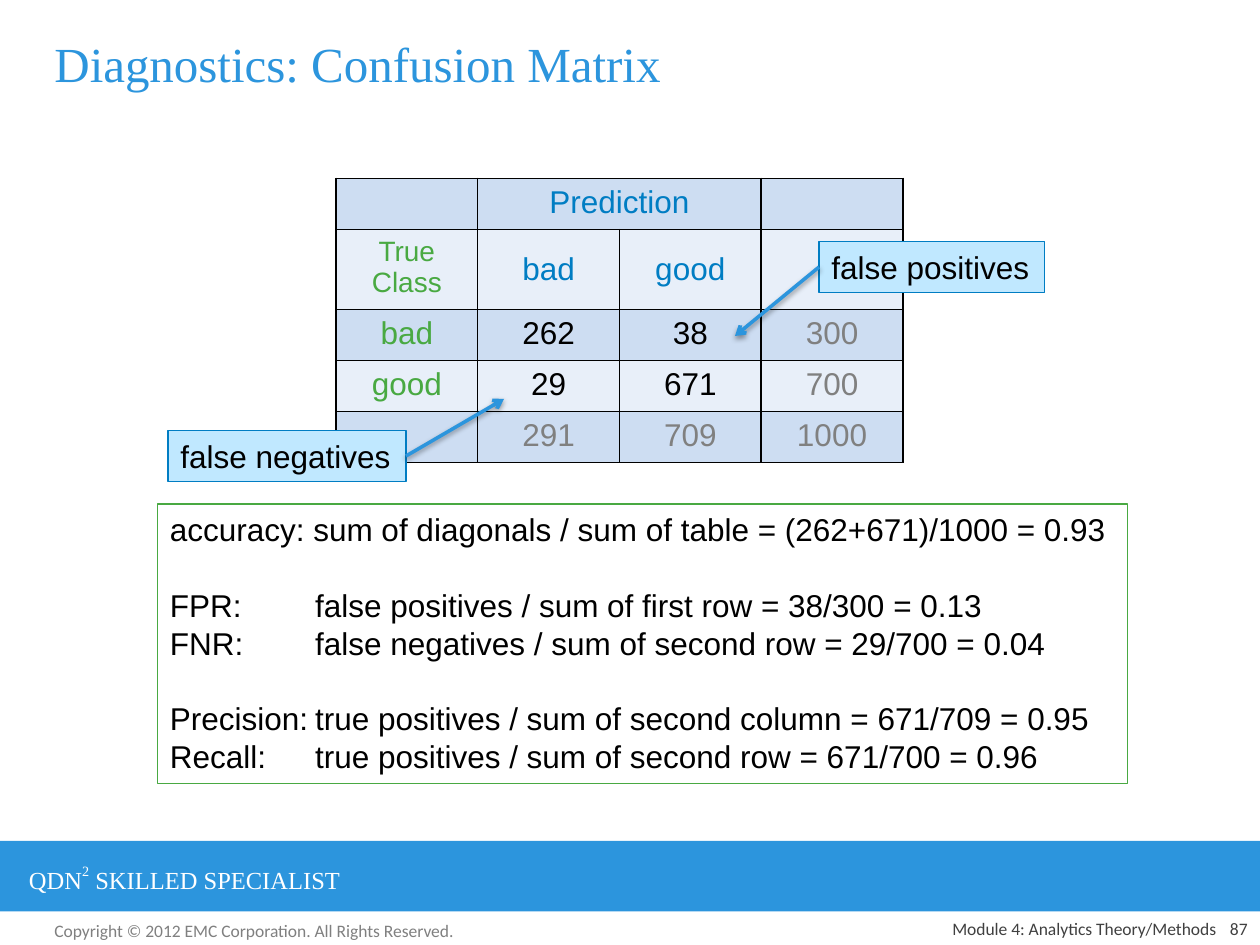
import pptx
import pptx.util
import pptx.dml.color
import pptx.enum.text
import pptx.enum.shapes
import pptx.oxml
import pptx.oxml.ns
from dataclasses import dataclass

Pt = pptx.util.Pt
ALIGN = pptx.enum.text.PP_ALIGN
ANCHOR = pptx.enum.text.MSO_ANCHOR


@dataclass(frozen=True)
class Theme:
    blue: str = "2C95DD"
    deep_blue: str = "007DC3"
    pale_blue: str = "C0E8FF"
    green: str = "49A942"
    black: str = "000000"
    white: str = "FFFFFF"
    gray: str = "808080"
    dark_gray: str = "404040"
    bands: tuple = ("CDDDF2", "E8EFF9")
    serif: str = "Times New Roman"
    sans: str = "Arial"
    small_font: str = "Calibri"
    title: int = 28
    body: int = 18
    row_head: int = 16
    brand: int = 14
    footer: int = 10


THEME = Theme()

TITLE = "Diagnostics: Confusion Matrix"
MATRIX = [
    ["", "Prediction", "", ""],
    ["True Class", "bad", "good", ""],
    ["bad", "262", "38", "300"],
    ["good", "29", "671", "700"],
    ["", "291", "709", "1000"],
]
MEASURES = [
    ("accuracy: sum of diagonals / sum of table = (262+671)/1000 = 0.93", False),
    ("FPR:\tfalse positives / sum of first row = 38/300 = 0.13", True),
    ("FNR:\tfalse negatives / sum of second row = 29/700 = 0.04", False),
    ("Precision:\ttrue positives / sum of second column = 671/709 = 0.95", True),
    ("Recall:\ttrue positives / sum of second row = 671/700 = 0.96", False),
]
CALLOUTS = [
    ("false positives", (468, 138, 129, 29), (468, 152.6), (420, 192)),
    ("false negatives", (96, 246, 136, 29), (232, 260.6), (288, 228)),
]
BRAND = [("QDN", None), ("2", "56000"), (" SKILLED SPECIALIST", None)]
FOOTERS = [
    ("Copyright © 2012 EMC Corporation. All Rights Reserved.",
     (24, 522, 246, 19.4), THEME.gray, ALIGN.LEFT, ANCHOR.TOP),
    ("87", (684, 522, 36, 18), THEME.dark_gray, ALIGN.RIGHT, ANCHOR.BOTTOM),
    ("Module 4: Analytics Theory/Methods",
     (372, 522, 330, 18), THEME.dark_gray, ALIGN.RIGHT, ANCHOR.BOTTOM),
]
MATRIX_LEFT, MATRIX_TOP, COLUMN_WIDTH = 192, 102, 81
ROW_HEIGHTS = [29.2, 45.6, 29.2, 29.2, 29.2]
LINE_PITCH = 21.6
TAB_POSITION = 83


def rgb(value):
    return pptx.dml.color.RGBColor.from_string(value)


def style(para, font, size, color, align=ALIGN.LEFT):
    para.alignment = align
    for span in para.runs:
        span.font.name = font
        span.font.size = Pt(size)
        span.font.color.rgb = rgb(color)


def append_xml(parent, body):
    start, rest = body.split(" ", 1) if " " in body.split(">")[0] else body.split(">", 1)
    glue = " " if " " in body.split(">")[0] else ">"
    parent.append(pptx.oxml.parse_xml(f"{start} {pptx.oxml.ns.nsdecls('a')}{glue}{rest}"))


def add_text(page, text, place, font, size, color, align=ALIGN.LEFT, anchor=ANCHOR.TOP):
    box = page.shapes.add_textbox(*map(Pt, place))
    frame = box.text_frame
    frame.word_wrap = True
    frame.vertical_anchor = anchor
    frame.text = text
    style(frame.paragraphs[0], font, size, color, align)
    return box


def add_panel(page, place, fill=None, line=None):
    panel = page.shapes.add_shape(pptx.enum.shapes.MSO_SHAPE.RECTANGLE, *map(Pt, place))
    panel.shadow.inherit = False
    if fill:
        panel.fill.solid()
        panel.fill.fore_color.rgb = rgb(fill)
    else:
        panel.fill.background()
    if line:
        panel.line.color.rgb = rgb(line)
        panel.line.width = Pt(0.75)
    else:
        panel.line.fill.background()
    panel.text_frame.word_wrap = True
    panel.text_frame.vertical_anchor = ANCHOR.TOP
    return panel


def cell_color(row, column):
    if column == 0:
        return THEME.green
    if row < 2:
        return THEME.deep_blue
    return THEME.gray if row == 4 or column == 3 else THEME.black


def add_matrix(page):
    columns = len(MATRIX[0])
    table = page.shapes.add_table(
        len(MATRIX), columns, Pt(MATRIX_LEFT), Pt(MATRIX_TOP),
        Pt(COLUMN_WIDTH * columns), Pt(sum(ROW_HEIGHTS))).table
    for column in table.columns:
        column.width = Pt(COLUMN_WIDTH)
    for r, texts in enumerate(MATRIX):
        table.rows[r].height = Pt(ROW_HEIGHTS[r])
        for c, text in enumerate(texts):
            cell = table.cell(r, c)
            cell.text = text
            if r == 1 and c > 0:
                cell.vertical_anchor = ANCHOR.MIDDLE
            size = THEME.row_head if (r, c) == (1, 0) else THEME.body
            style(cell.text_frame.paragraphs[0], THEME.sans, size, cell_color(r, c), ALIGN.CENTER)
            properties = cell._tc.get_or_add_tcPr()
            for side in ("lnL", "lnR", "lnT", "lnB"):
                append_xml(properties, f'<a:{side} w="12700"><a:solidFill>'
                           f'<a:srgbClr val="{THEME.black}"/></a:solidFill></a:{side}>')
            cell.fill.solid()
            cell.fill.fore_color.rgb = rgb(THEME.bands[r % 2])
    table.cell(0, 1).merge(table.cell(0, 2))


def add_measures(page):
    frame = add_panel(page, (90, 288, 554.4, 159.8), line=THEME.green).text_frame
    frame.margin_right = Pt(0)
    for index, (text, starts_group) in enumerate(MEASURES):
        para = frame.paragraphs[0] if index == 0 else frame.add_paragraph()
        para.text = text
        para.line_spacing = Pt(LINE_PITCH)
        if starts_group:
            para.space_before = Pt(LINE_PITCH)
        append_xml(para._p.get_or_add_pPr(),
                   f'<a:tabLst><a:tab pos="{int(Pt(TAB_POSITION))}" algn="l"/></a:tabLst>')
        style(para, THEME.sans, THEME.body, THEME.black)


def add_callout(page, text, place, start, end):
    panel = add_panel(page, place, THEME.pale_blue, THEME.deep_blue)
    panel.text_frame.text = text
    style(panel.text_frame.paragraphs[0], THEME.sans, THEME.body, THEME.black)
    arrow = page.shapes.add_connector(
        pptx.enum.shapes.MSO_CONNECTOR.STRAIGHT, *map(Pt, start + end))
    arrow.line.color.rgb = rgb(THEME.blue)
    arrow.line.width = Pt(2)
    append_xml(arrow.line._get_or_add_ln(), '<a:tailEnd type="arrow"/>')
    append_xml(arrow._element.spPr,
               f'<a:effectLst><a:outerShdw blurRad="{int(Pt(3.1))}" dist="{int(Pt(1.6))}" '
               f'dir="5400000" rotWithShape="0"><a:srgbClr val="{THEME.black}">'
               '<a:alpha val="38000"/></a:srgbClr></a:outerShdw></a:effectLst>')


def add_brand_band(page):
    add_panel(page, (0, 480.5, 720, 40.3), THEME.blue)
    box = add_text(page, "", (9.4, 489, 266, 24.5), THEME.serif, THEME.brand, THEME.white)
    para = box.text_frame.paragraphs[0]
    for text, baseline in BRAND:
        span = para.add_run()
        span.text = text
        if baseline:
            span._r.get_or_add_rPr().set("baseline", baseline)
    style(para, THEME.serif, THEME.brand, THEME.white)


def main():
    deck = pptx.Presentation()
    deck.slide_width, deck.slide_height = Pt(720), Pt(540)
    page = deck.slides.add_slide(deck.slide_layouts[6])
    add_brand_band(page)
    add_matrix(page)
    add_text(page, TITLE, (24, 6, 666, 60), THEME.serif, THEME.title, THEME.blue,
             anchor=ANCHOR.MIDDLE)
    add_measures(page)
    for callout in CALLOUTS:
        add_callout(page, *callout)
    for text, place, color, align, anchor in FOOTERS:
        add_text(page, text, place, THEME.small_font, THEME.footer, color, align, anchor)
    deck.save("out.pptx")


if __name__ == "__main__":
    main()
